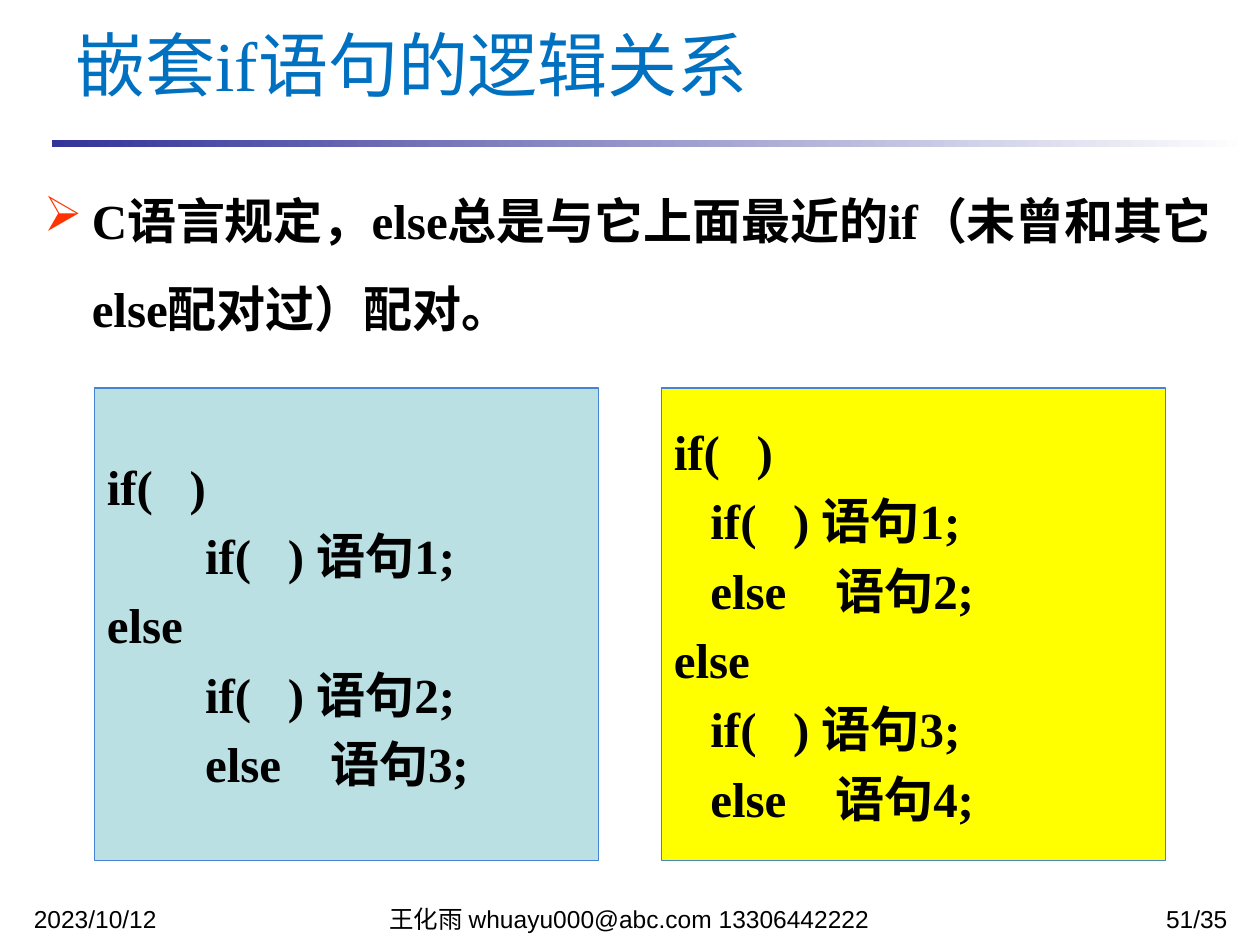
from dataclasses import dataclass

from lxml import etree
from pptx import Presentation
from pptx.dml.color import RGBColor as RGB
from pptx.enum.shapes import MSO_SHAPE as SHAPE
from pptx.enum.text import MSO_ANCHOR as ANCHOR, MSO_AUTO_SIZE as AUTO, PP_ALIGN as ALIGN
from pptx.oxml.ns import qn
from pptx.util import Inches, Pt


@dataclass(frozen=True)
class Theme:
    title: RGB = RGB(0x00, 0x70, 0xC0)
    text: RGB = RGB(0x00, 0x00, 0x00)
    bullet: str = "FF3300"
    bar: RGB = RGB(0x33, 0x33, 0x99)
    white: RGB = RGB(0xFF, 0xFF, 0xFF)
    blue: RGB = RGB(0xBB, 0xE0, 0xE3)
    yellow: RGB = RGB(0xFF, 0xFF, 0x00)
    line: RGB = RGB(0x45, 0x84, 0xD3)
    serif: str = "Times New Roman"
    sans: str = "Arial"
    title_size: int = 40
    body_size: int = 28
    footer_size: int = 14


T = Theme()


def style(p, size, font, color, bold=False, align=ALIGN.LEFT):
    p.alignment = align
    for r in p.runs:
        r.font.size = Pt(size)
        r.font.name = font
        r.font.bold = bold
        r.font.color.rgb = color


def add_text(s, x, y, w, h):
    tf = s.shapes.add_textbox(Inches(x), Inches(y), Inches(w), Inches(h)).text_frame
    tf.word_wrap = True
    return tf


prs = Presentation()
prs.slide_width, prs.slide_height = Inches(10), Inches(7.5)
s = prs.slides.add_slide(prs.slide_layouts[5])

title = s.shapes.title
title.left, title.top, title.width, title.height = Inches(0.5), Inches(0.17), Inches(9.33), Inches(0.67)
tf = title.text_frame
tf.text = "嵌套if语句的逻辑关系"
tf.auto_size = AUTO.NONE
tf.vertical_anchor = ANCHOR.MIDDLE
style(tf.paragraphs[0], T.title_size, T.serif, T.title)

bar = s.shapes.add_shape(SHAPE.RECTANGLE, Inches(0.41), Inches(1.11), Inches(9.51), Inches(0.06))
bar.shadow.inherit = False
bar.line.fill.background()
bar.fill.gradient()
bar.fill.gradient_angle = 0
for stop, color, position in zip(bar.fill.gradient_stops, (T.bar, T.white), (0, 1)):
    stop.color.rgb = color
    stop.position = position

footers = [
    (0.17, 2.33, "2023/10/12", ALIGN.LEFT),
    (2.58, 4.83, "王化雨 whuayu000@abc.com 13306442222", ALIGN.CENTER),
    (7.92, 1.92, "51/35", ALIGN.RIGHT),
]
for x, w, text, align in footers:
    tf = add_text(s, x, 7.17, w, 0.18)
    tf.text = text
    p = tf.paragraphs[0]
    p.line_spacing = 0.8
    p.space_before = Pt(3)
    style(p, T.footer_size, T.sans, T.text, align=align)

tf = add_text(s, 0.25, 1.23, 9.58, 1.7)
tf.text = "C语言规定，else总是与它上面最近的if（未曾和其它else配对过）配对。"
p = tf.paragraphs[0]
p.line_spacing = 1.5
p.space_before = Pt(6)
style(p, T.body_size, T.serif, T.text, bold=True)
pPr = p._p.get_or_add_pPr()
pPr.set("marL", str(Inches(0.38)))
pPr.set("indent", str(Inches(-0.38)))
bullet_color = etree.SubElement(pPr, qn("a:buClr"))
etree.SubElement(bullet_color, qn("a:srgbClr"), val=T.bullet)
etree.SubElement(pPr, qn("a:buChar"), char="➢")

code_boxes = [
    (0.75, T.blue, 0.78, [
        (0, "if(   )"), (1, "if(   ) 语句1;"),
        (0, "else"), (1, "if(   ) 语句2;"), (1, "else    语句3;"),
    ]),
    (5.25, T.yellow, 0.29, [
        (0, "if(   )"), (1, "if(   ) 语句1;"), (1, "else    语句2;"),
        (0, "else"), (1, "if(   ) 语句3;"), (1, "else    语句4;"),
    ]),
]
for x, fill, indent, lines in code_boxes:
    box = s.shapes.add_shape(SHAPE.RECTANGLE, Inches(x), Inches(3.08), Inches(4), Inches(3.75))
    box.shadow.inherit = False
    box.fill.solid()
    box.fill.fore_color.rgb = fill
    box.line.color.rgb = T.line
    box.line.width = Pt(0.75)
    tf = box.text_frame
    tf.word_wrap = True
    tf.vertical_anchor = ANCHOR.MIDDLE
    tf.text = "\n".join(text for level, text in lines)
    for p, (level, text) in zip(tf.paragraphs, lines):
        p.space_before = Pt(6)
        style(p, T.body_size, T.serif, T.text, bold=True)
        p._p.get_or_add_pPr().set("marL", str(Inches(level * indent)))

prs.save("out.pptx")
